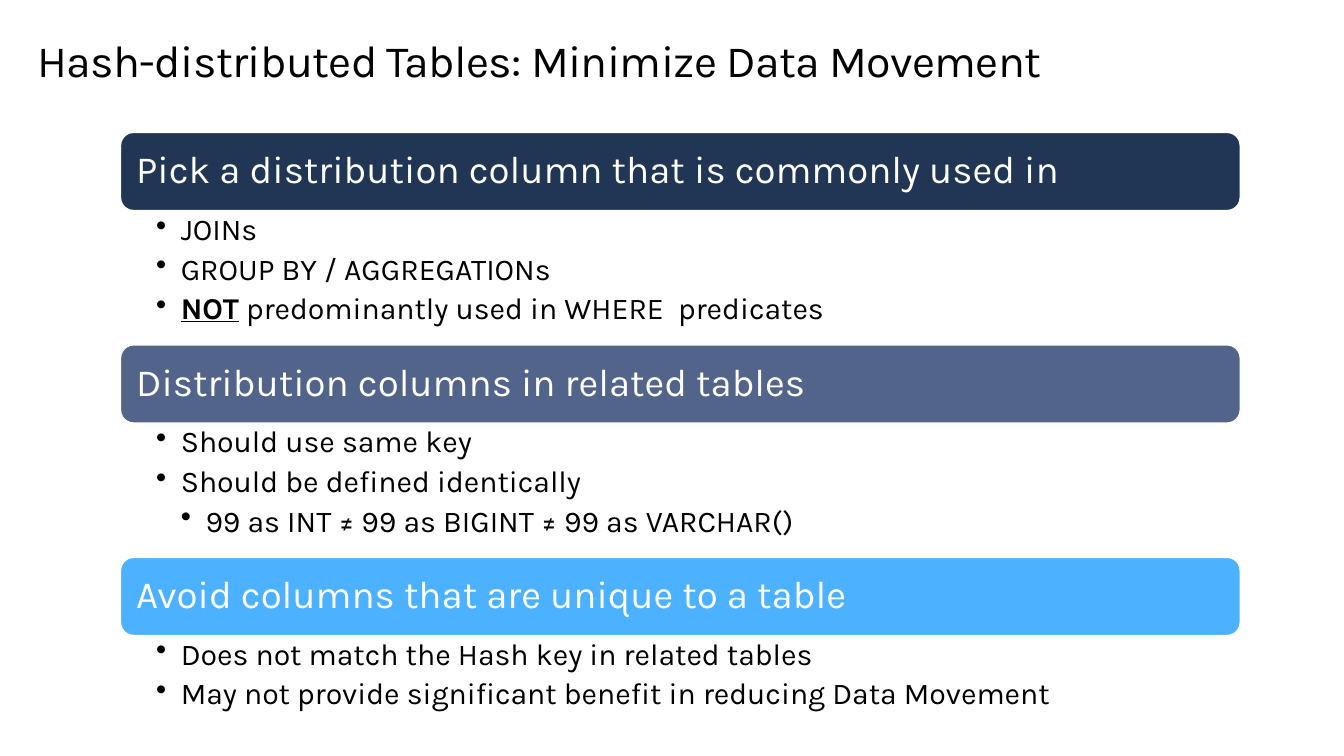
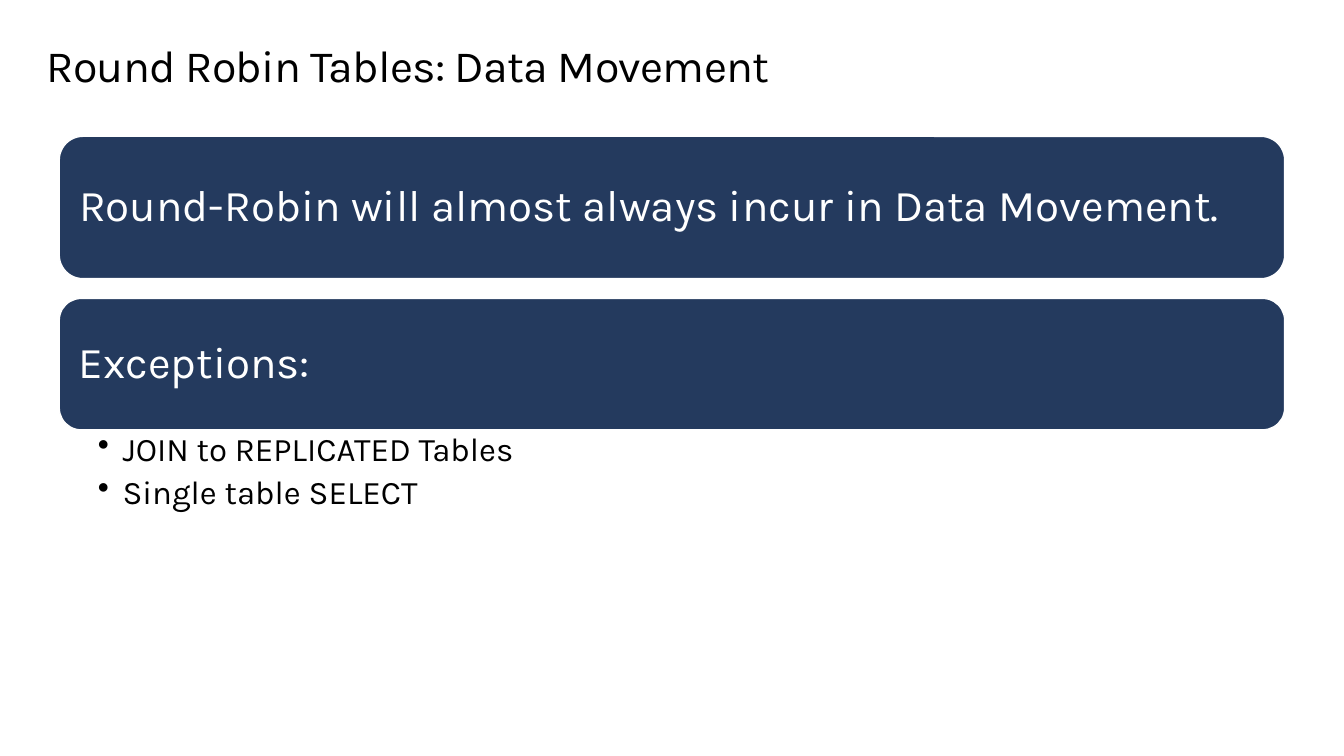
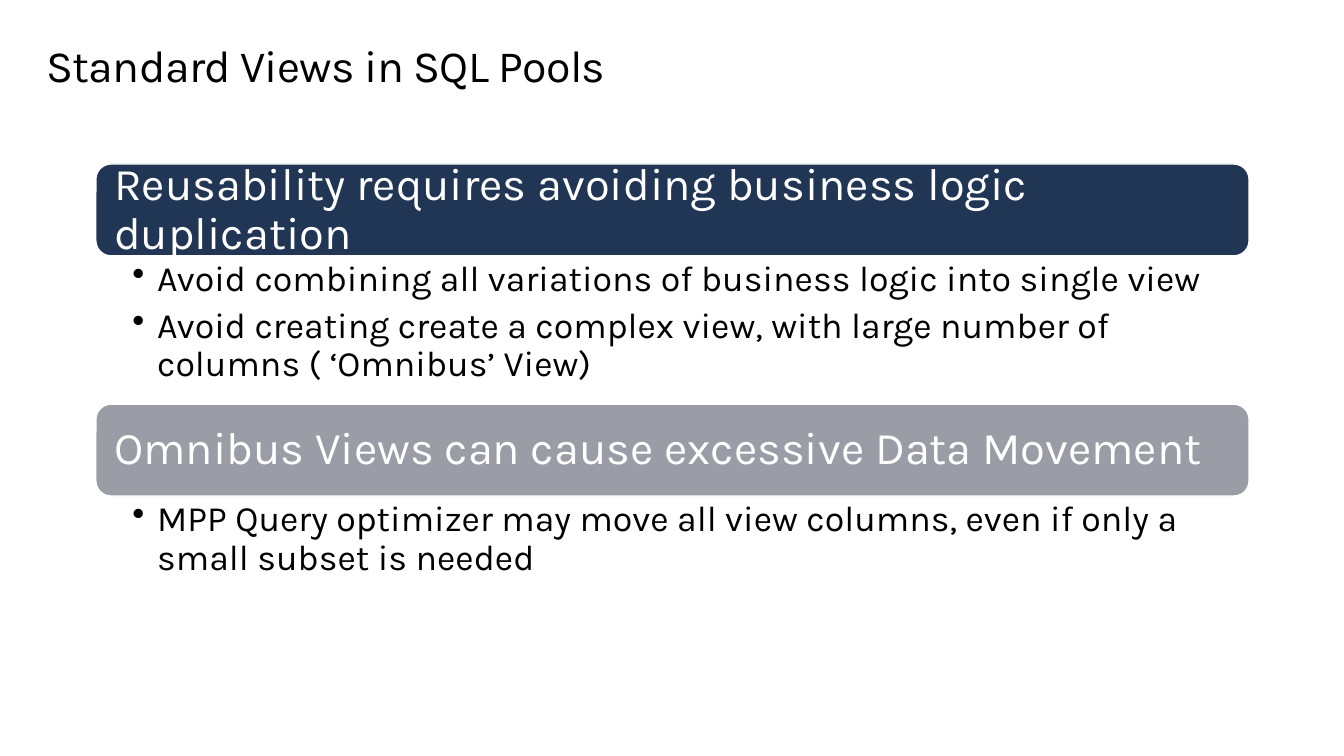
from pptx import Presentation
from pptx.dml.color import RGBColor
from pptx.enum.shapes import MSO_SHAPE
from pptx.enum.text import MSO_ANCHOR, PP_ALIGN
from pptx.oxml.ns import qn
from pptx.util import Emu, Pt

ROUND_RECT = MSO_SHAPE.ROUNDED_RECTANGLE
TOP, MIDDLE = MSO_ANCHOR.TOP, MSO_ANCHOR.MIDDLE
LEFT = PP_ALIGN.LEFT

FONT = "Karla"
WHITE, BLACK = "FFFFFF", "000000"
NAVY, DEEP_BLUE, SLATE, SKY, GREY = "213555", "243A5E", "526489", "4CB1FF", "9A9DA5"
EMU_PER_PX = 9144
INDENT = 25
LINE_SPACING = 0.9
ITEM_GAP = 0.23

SLIDES = [
    {
        "title": "Hash-distributed Tables: Minimize Data Movement",
        "title_box": (38, 36, 1249, 51),
        "origin": (122, 134), "width": 1133,
        "bar_size": 28, "bar_inset": 12,
        "item_size": 22, "item_insets": (36, 4, 22, 4),
        "sections": [
            ("Pick a distribution column that is commonly used in", NAVY, 79, 136, [
                (1, ["JOINs"]),
                (1, ["GROUP BY / AGGREGATIONs"]),
                (1, [("NOT", {"bold": True, "underline": True}),
                     " predominantly used in WHERE  predicates"]),
            ]),
            ("Distribution columns in related tables", SLATE, 79, 136, [
                (1, ["Should use same key"]),
                (1, ["Should be defined identically"]),
                (2, ["99 as INT ≠ 99 as BIGINT ≠ 99 as VARCHAR()"]),
            ]),
            ("Avoid columns that are unique to a table", SKY, 79, 90, [
                (1, ["Does not match the Hash key in related tables"]),
                (1, ["May not provide significant benefit in reducing Data Movement"]),
            ]),
        ],
    },
    {
        "title": "Round Robin Tables: Data Movement",
        "title_box": (47, 41, 1240, 52),
        "origin": (60, 138), "width": 1240,
        "bar_size": 32, "bar_inset": 13,
        "item_size": 24, "item_insets": (39, 3, 19, 3),
        "sections": [
            ("Round-Robin will almost always incur in Data Movement.", DEEP_BLUE, 144, 20, []),
            ("Exceptions:", DEEP_BLUE, 133, 118, [
                (1, ["JOIN to REPLICATED Tables"]),
                (1, ["Single table SELECT"]),
            ]),
        ],
    },
    {
        "title": "Standard Views in SQL Pools",
        "title_box": (47, 41, 1240, 52),
        "origin": (97, 166), "width": 1167,
        "bar_size": 33, "bar_inset": 14,
        "item_size": 26, "item_insets": (37, 5, 26, 5),
        "sections": [
            ("Reusability requires avoiding business logic duplication", NAVY, 93, 150, [
                (1, ["Avoid combining all variations of business logic into single view"]),
                (1, ["Avoid creating create a complex view, with large number of "
                     "columns ( ‘Omnibus’ View)"]),
            ]),
            ("Omnibus Views can cause excessive Data Movement", GREY, 93, 97, [
                (1, ["MPP Query optimizer may move all view columns, even if only a "
                     "small subset is needed"]),
            ]),
        ],
    },
]


def px(n):
    """Turn px into EMU."""
    return Emu(n * EMU_PER_PX)


def rgb(value):
    """Turn a hex string into a colour."""
    return RGBColor.from_string(value)


def set_frame(tf, insets, anchor):
    """Set wrapping, insets and anchor of a text frame."""
    left, top, right, bottom = map(px, insets)
    values = {"word_wrap": True, "vertical_anchor": anchor, "margin_left": left,
              "margin_top": top, "margin_right": right, "margin_bottom": bottom}
    for name, value in values.items():
        setattr(tf, name, value)


def add_run(p, text, size, color, **formats):
    """Append a run in the shared font."""
    r = p.add_run()
    r.text = text
    values = {"name": FONT, "size": Pt(size), **formats}
    for name, value in values.items():
        setattr(r.font, name, value)
    r.font.color.rgb = rgb(color)
    return r


def add_text_box(s, box, insets):
    """Add a wrapping text box and return its text frame."""
    tf = s.shapes.add_textbox(*map(px, box)).text_frame
    set_frame(tf, insets, TOP)
    return tf


def add_title(s, box, text):
    """Add the slide title."""
    p = add_text_box(s, box, (0, 0, 0, 0)).paragraphs[0]
    p.line_spacing = Pt(36.9)
    r = add_run(p, text, 32.6, BLACK)
    r.font._element.set("spc", "-50")


def add_bar(s, box, text, fill, size, inset):
    """Add a rounded heading bar."""
    sp = s.shapes.add_shape(ROUND_RECT, *map(px, box))
    sp.shadow.inherit = False
    sp.fill.solid()
    sp.fill.fore_color.rgb = rgb(fill)
    sp.line.color.rgb = rgb(WHITE)
    sp.line.width = Pt(1)
    set_frame(sp.text_frame, [inset] * 4, MIDDLE)
    p = sp.text_frame.paragraphs[0]
    p.alignment = LEFT
    p.line_spacing = LINE_SPACING
    add_run(p, text, size, WHITE)


def set_bullet(p, level):
    """Give a paragraph a hanging bullet at the given level."""
    pPr = p._p.get_or_add_pPr()
    pPr.set("marL", str(px(INDENT * level)))
    pPr.set("indent", str(-px(INDENT)))
    bullet = pPr.makeelement(qn("a:buChar"), {"char": "•"})
    pPr.append(bullet)


def add_bullets(s, box, items, size, insets):
    """Add a bullet list below a bar."""
    tf = add_text_box(s, box, insets)
    for i, (level, parts) in enumerate(items):
        p = tf.add_paragraph() if i else tf.paragraphs[0]
        set_bullet(p, level)
        p.line_spacing = LINE_SPACING
        p.space_after = Pt(size * ITEM_GAP)
        for part in parts:
            text, formats = (part, {}) if isinstance(part, str) else part
            add_run(p, text, size, BLACK, **formats)


def add_sections(s, data):
    """Stack heading bars and their lists from the origin down."""
    x, y = data["origin"]
    width = data["width"]
    for heading, fill, bar_h, body_h, items in data["sections"]:
        add_bar(s, (x, y, width, bar_h), heading, fill, data["bar_size"], data["bar_inset"])
        y += bar_h
        if items:
            add_bullets(s, (x, y, width, body_h), items, data["item_size"], data["item_insets"])
        y += body_h


def main():
    """Build the presentation."""
    prs = Presentation()
    prs.slide_width, prs.slide_height = px(1360), px(765)
    for data in SLIDES:
        s = prs.slides.add_slide(prs.slide_layouts[6])
        add_title(s, data["title_box"], data["title"])
        add_sections(s, data)
    prs.save("out.pptx")


if __name__ == "__main__":
    main()
